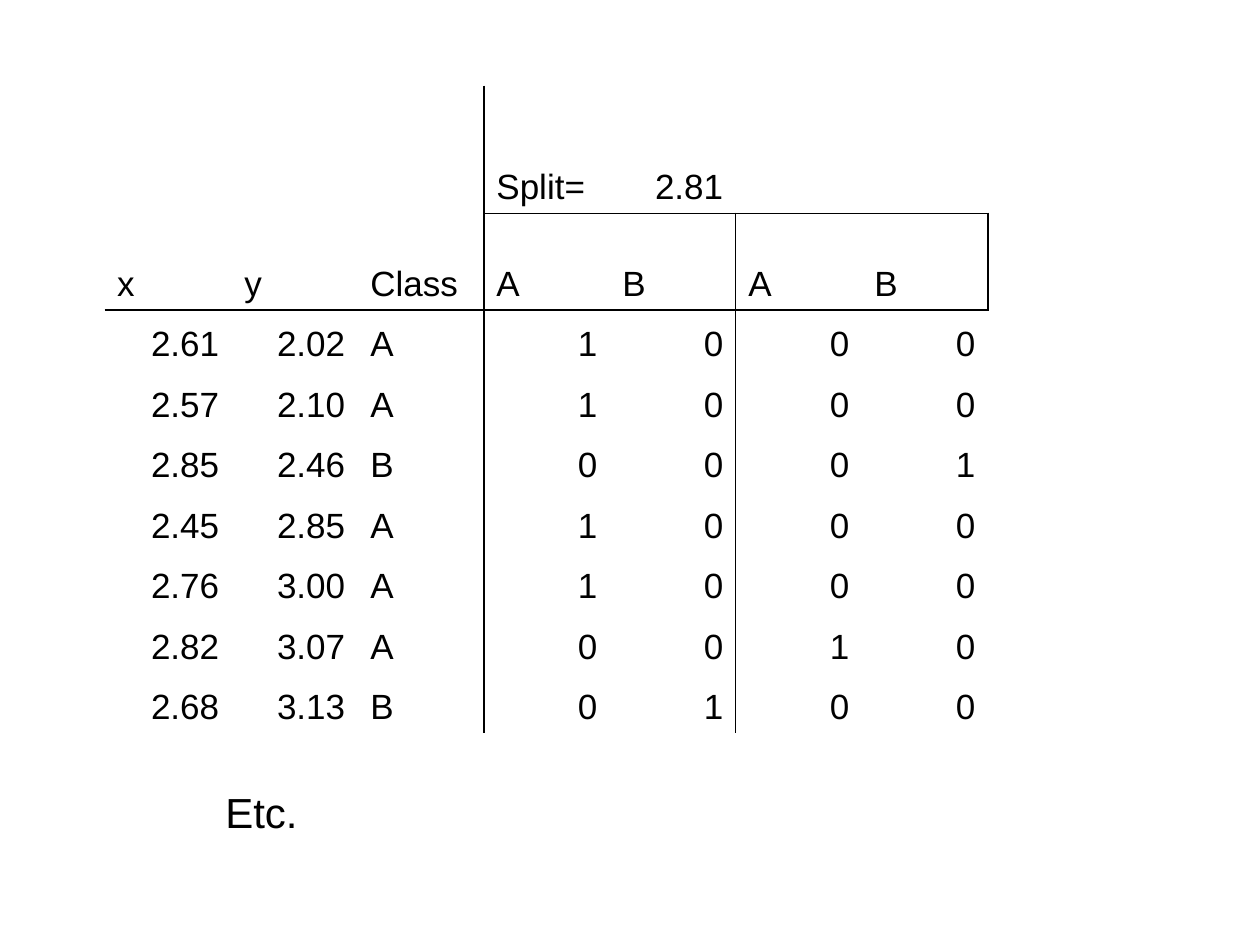
"""Builds a slide that counts classes on each side of a split value."""
import pptx
import pptx.dml.color
import pptx.enum.text
import pptx.oxml
import pptx.oxml.ns
import pptx.util

Inches = pptx.util.Inches
Pt = pptx.util.Pt
ALIGN = pptx.enum.text.PP_ALIGN

THICK, THIN = 0.96, 0.45
COLUMN_RULES = {3: (THICK, range(9)), 5: (THIN, range(1, 9)), 7: (THICK, range(1, 2))}
ROW_RULES = {1: (THIN, range(3, 7)), 2: (THICK, range(7))}

COLUMN_WIDTHS = [1.01] + [1] * 6
ROW_HEIGHTS = [1.01, 0.77] + [0.48] * 7
SPLIT_ROWS = [
    ["", "", "", "Split=", "2.81", "", ""],
    ["x", "y", "Class", "A", "B", "A", "B"],
    ["2.61", "2.02", "A", "1", "0", "0", "0"],
    ["2.57", "2.10", "A", "1", "0", "0", "0"],
    ["2.85", "2.46", "B", "0", "0", "0", "1"],
    ["2.45", "2.85", "A", "1", "0", "0", "0"],
    ["2.76", "3.00", "A", "1", "0", "0", "0"],
    ["2.82", "3.07", "A", "0", "0", "1", "0"],
    ["2.68", "3.13", "B", "0", "1", "0", "0"],
]


def color(value):
    return pptx.dml.color.RGBColor.from_string(value)


def write(frame, text, size, font, ink, align=ALIGN.LEFT, before=0):
    paragraph = frame.paragraphs[0]
    paragraph.alignment = align
    paragraph.space_before = Pt(before)
    paragraph.font.size = Pt(size)
    if text:
        run = paragraph.add_run()
        run.text = text
        run.font.size = Pt(size)
        run.font.name = font
        run.font.color.rgb = color(ink)


def rule_width(rules, boundary, position):
    width, span = rules.get(boundary, (0, ()))
    return width if position in span else 0


class SlideWriter:
    def __init__(self, slide, font="Arial", ink="000000"):
        self.slide = slide
        self.font = font
        self.ink = ink

    def border(self, cell, widths):
        properties = cell._tc.get_or_add_tcPr()
        namespace = pptx.oxml.ns.nsdecls("a")
        for index, (side, width) in enumerate(zip("LRTB", widths)):
            fill = f'<a:solidFill><a:srgbClr val="{self.ink}"/></a:solidFill>' if width else "<a:noFill/>"
            line = f'<a:ln{side} {namespace} w="{Pt(width)}">{fill}</a:ln{side}>'
            properties.insert(index, pptx.oxml.parse_xml(line))

    def table(self, rows, left, top, widths, heights, size):
        grid = self.slide.shapes.add_table(
            len(rows), len(widths), Inches(left), Inches(top),
            Inches(sum(widths)), Inches(sum(heights))).table
        grid.first_row = grid.horz_banding = False
        for column, width in zip(grid.columns, widths):
            column.width = Inches(width)
        for r, (row, height) in enumerate(zip(rows, heights)):
            grid.rows[r].height = Inches(height)
            for c, text in enumerate(row):
                cell = grid.cell(r, c)
                cell.fill.background()
                cell.vertical_anchor = pptx.enum.text.MSO_ANCHOR.BOTTOM
                numeric = text[:1].isdigit()
                write(cell.text_frame, text, size, self.font, self.ink,
                      align=ALIGN.RIGHT if numeric else ALIGN.LEFT)
                self.border(cell, [rule_width(COLUMN_RULES, c, r),
                                   rule_width(COLUMN_RULES, c + 1, r),
                                   rule_width(ROW_RULES, r, c),
                                   rule_width(ROW_RULES, r + 1, c)])

    def text(self, text, left, top, width, height, size, before=0):
        box = self.slide.shapes.add_textbox(
            Inches(left), Inches(top), Inches(width), Inches(height))
        box.text_frame.word_wrap = True
        box.text_frame.auto_size = pptx.enum.text.MSO_AUTO_SIZE.SHAPE_TO_FIT_TEXT
        write(box.text_frame, text, size, self.font, self.ink, before=before)


def main():
    deck = pptx.Presentation()
    deck.slide_width, deck.slide_height = Inches(10), Inches(7.5)
    writer = SlideWriter(deck.slides.add_slide(deck.slide_layouts[6]))
    writer.table(SPLIT_ROWS, 0.83, 0.68, COLUMN_WIDTHS, ROW_HEIGHTS, size=20)
    writer.text("Etc.", 1.69, 6.19, 2.13, 0.5, size=24, before=15)
    deck.save("out.pptx")


if __name__ == "__main__":
    main()
